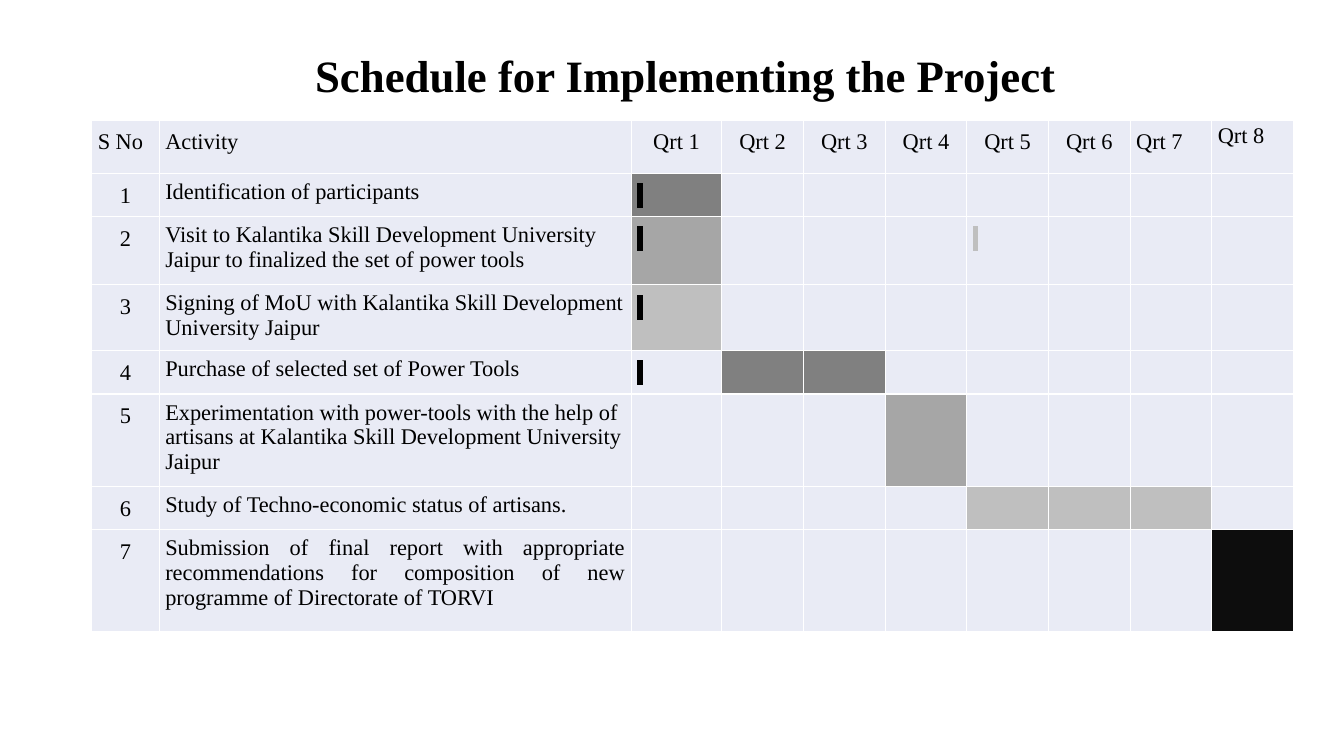
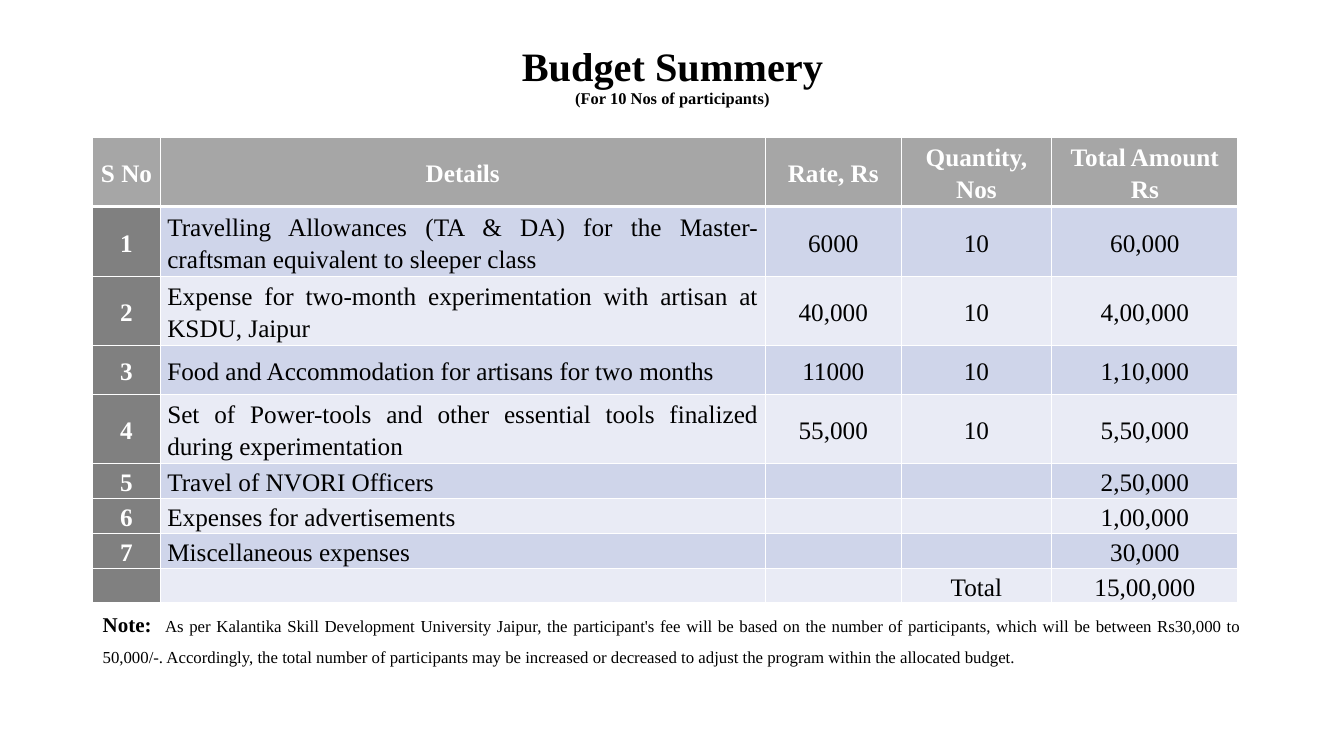
from lxml.etree import SubElement
from pptx import Presentation
from pptx.dml.color import RGBColor
from pptx.enum.text import MSO_ANCHOR as Anchor, PP_ALIGN as Align
from pptx.oxml.ns import qn
from pptx.util import Inches, Pt

FONT = "Times New Roman"
BLACK = RGBColor(0x00, 0x00, 0x00)
NEAR_BLACK = RGBColor(0x0D, 0x0D, 0x0D)
WHITE = RGBColor(0xFF, 0xFF, 0xFF)
DARK = RGBColor(0x80, 0x80, 0x80)
MEDIUM = RGBColor(0xA6, 0xA6, 0xA6)
LIGHT = RGBColor(0xBF, 0xBF, 0xBF)
PALE = RGBColor(0xE9, 0xEB, 0xF5)
BLUE_BAND = RGBColor(0xCF, 0xD5, 0xEA)

LEFT, CENTER, JUSTIFY = Align.LEFT, Align.CENTER, Align.JUSTIFY


def add_run(paragraph, text, size, color=BLACK, bold=False):
    run = paragraph.add_run()
    run.text = text
    run.font.name = FONT
    run.font.size = Pt(size)
    run.font.bold = bold
    run.font.color.rgb = color
    return run


def add_grid(slide, left, top, widths, heights, header):
    frame = slide.shapes.add_table(
        len(heights), len(widths), Inches(left), Inches(top),
        Inches(sum(widths)), Inches(sum(heights)))
    table = frame.table
    table.first_row = header
    table.horz_banding = False
    for column, width in zip(table.columns, widths):
        column.width = Inches(width)
    for row, height in zip(table.rows, heights):
        row.height = Inches(height)
    return table


presentation = Presentation()
presentation.slide_width = Inches(13.33)
presentation.slide_height = Inches(7.5)

TITLES = [
    ((1.05, 0.35, 11.5, 0.85), [("Schedule for Implementing the Project", 32)]),
    ((0.92, 0.4, 11.5, 0.73), [("Budget Summery", 28.8), ("(For 10 Nos of participants)", 11.7)]),
]
slides = []
for place, lines in TITLES:
    slide = presentation.slides.add_slide(presentation.slide_layouts[6])
    slides.append(slide)
    title = slide.shapes.add_textbox(*[Inches(length) for length in place]).text_frame
    title.word_wrap = True
    title.vertical_anchor = Anchor.MIDDLE
    paragraph = title.paragraphs[0]
    paragraph.alignment = CENTER
    paragraph.line_spacing = 0.9
    for index, (text, size) in enumerate(lines):
        if index:
            paragraph.add_line_break()
        add_run(paragraph, text, size, bold=True)
schedule_slide, budget_slide = slides

ACTIVITIES = [
    ("Identification of participants", LEFT, 0.41, [1], DARK),
    ("Visit to Kalantika Skill Development University Jaipur to finalized the set of power tools",
     LEFT, 0.68, [1], MEDIUM),
    ("Signing of MoU with Kalantika Skill Development University Jaipur", LEFT, 0.63, [1], LIGHT),
    ("Purchase of selected set of Power Tools", JUSTIFY, 0.43, [2, 3], DARK),
    ("Experimentation with power-tools with the help of artisans at Kalantika Skill Development "
     "University Jaipur", LEFT, 0.91, [4], MEDIUM),
    ("Study of Techno-economic status of artisans.", LEFT, 0.41, [5, 6, 7], LIGHT),
    ("Submission of final report with appropriate recommendations for composition of new "
     "programme of Directorate of TORVI", JUSTIFY, 1.01, [8], NEAR_BLACK),
]
MARKS = {(1, 1): BLACK, (2, 1): BLACK, (3, 1): BLACK, (4, 1): BLACK, (2, 5): LIGHT}

schedule = add_grid(schedule_slide, 0.91, 1.19, [0.67, 4.68, 0.9] + [0.81] * 7,
                    [0.53] + [activity[2] for activity in ACTIVITIES], False)
headings = ["S No", "Activity"] + [f"Qrt {quarter}" for quarter in range(1, 9)]
schedule_rows = [headings] + [
    [str(number), activity[0]] + [""] * 8 for number, activity in enumerate(ACTIVITIES, 1)]

for row, texts in enumerate(schedule_rows):
    for column, text in enumerate(texts):
        cell = schedule.cell(row, column)
        quarter = column - 1
        cell.margin_left = cell.margin_right = Inches(0.06)
        cell.margin_top = cell.margin_bottom = Inches(0 if text == "Qrt 8" else 0.06)
        cell.fill.solid()
        cell.fill.fore_color.rgb = PALE
        paragraph = cell.text_frame.paragraphs[0]
        paragraph.line_spacing = 1.15
        if row == 0:
            paragraph.alignment = CENTER if 1 <= quarter <= 6 else LEFT
        else:
            _, alignment, _, quarters, color = ACTIVITIES[row - 1]
            if quarter in quarters:
                cell.fill.fore_color.rgb = color
            if column == 0:
                paragraph.alignment = CENTER
            elif column == 1:
                paragraph.alignment = alignment
                paragraph.line_spacing = 1.0
        if text:
            add_run(paragraph, text, 16)
        elif (row, quarter) in MARKS:
            mark = add_run(paragraph, " ", 16)
            properties = mark.font.fill._xPr
            highlight = SubElement(properties, qn("a:highlight"))
            SubElement(highlight, qn("a:srgbClr"), val=str(MARKS[row, quarter]))
            properties.find(qn("a:solidFill")).addnext(highlight)

BUDGET = [
    ("S No", "Details", "Rate, Rs", "Quantity, Nos", "Total Amount Rs"),
    ("1", "Travelling Allowances (TA & DA) for the Master-craftsman equivalent to sleeper class",
     "6000", "10", "60,000"),
    ("2", "Expense for two-month experimentation with artisan at KSDU, Jaipur",
     "40,000", "10", "4,00,000"),
    ("3", "Food and Accommodation for artisans for two months", "11000", "10", "1,10,000"),
    ("4", "Set of Power-tools and other essential tools finalized during experimentation",
     "55,000", "10", "5,50,000"),
    ("5", "Travel of NVORI Officers", "", "", "2,50,000"),
    ("6", "Expenses for advertisements", "", "", "1,00,000"),
    ("7", "Miscellaneous expenses", "", "", "30,000"),
    ("", "", "", "Total", "15,00,000"),
]
budget = add_grid(budget_slide, 0.92, 1.36, [0.67, 6.0, 1.35, 1.49, 1.85],
                  [0.64, 0.63, 0.64, 0.48, 0.64] + [0.32] * 4, True)

for row, texts in enumerate(BUDGET):
    for column, text in enumerate(texts):
        cell = budget.cell(row, column)
        cell.margin_left = cell.margin_right = Inches(0.07)
        cell.margin_top = cell.margin_bottom = 0
        cell.vertical_anchor = Anchor.MIDDLE
        cell.fill.solid()
        if row == 0:
            cell.fill.fore_color.rgb = MEDIUM
            properties = cell._tc.get_or_add_tcPr()
            border = SubElement(properties, qn("a:lnB"), w=str(Pt(3)))
            SubElement(SubElement(border, qn("a:solidFill")), qn("a:srgbClr"), val=str(WHITE))
            properties.insert(0, border)
        elif column == 0:
            cell.fill.fore_color.rgb = DARK
        else:
            cell.fill.fore_color.rgb = BLUE_BAND if row % 2 else PALE
        paragraph = cell.text_frame.paragraphs[0]
        paragraph.alignment = JUSTIFY if row and column == 1 else CENTER
        paragraph.line_spacing = 1.15
        if text:
            heading = row == 0 or column == 0
            add_run(paragraph, text, 18, WHITE if heading else BLACK, heading)

for table, size in [(schedule, 16), (budget, 18)]:
    for cell in table.iter_cells():
        paragraph = cell.text_frame.paragraphs[0]
        ending = SubElement(paragraph._p, qn("a:endParaRPr"), sz=str(size * 100))
        SubElement(ending, qn("a:latin"), typeface=FONT)

note = budget_slide.shapes.add_textbox(
    Inches(0.92), Inches(5.89), Inches(11.5), Inches(0.83)).text_frame
note.word_wrap = True
paragraph = note.paragraphs[0]
paragraph.alignment = JUSTIFY
paragraph.line_spacing = 1.5
add_run(paragraph, "Note:  ", 15, bold=True)
add_run(paragraph, "As per Kalantika Skill Development University Jaipur, the participant's fee will be "
        "based on the number of participants, which will be between Rs30,000 to 50,000/-. "
        "Accordingly, the total number of participants may be increased or decreased to adjust "
        "the program within the allocated budget.", 12)

presentation.save("out.pptx")
